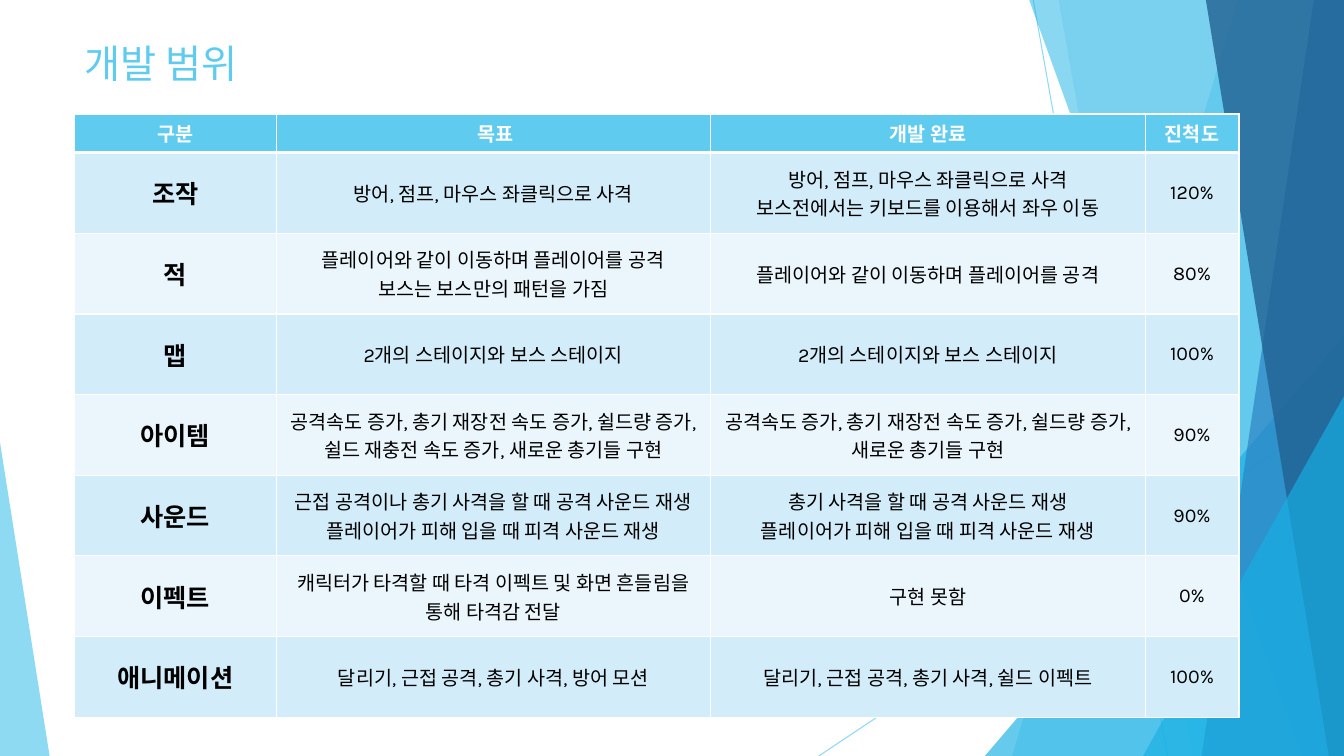
from lxml.etree import SubElement
from pptx import Presentation
from pptx.dml.color import RGBColor
from pptx.enum.shapes import MSO_CONNECTOR, MSO_SHAPE
from pptx.enum.text import MSO_ANCHOR, PP_ALIGN
from pptx.oxml.ns import qn
from pptx.util import Inches, Pt

SLIDE_WIDTH, SLIDE_HEIGHT = Inches(13.33), Inches(7.5)
FONT = "Karla"

SKY = RGBColor(0x5F, 0xCB, 0xEF)
CYAN = RGBColor(0x17, 0xB0, 0xE4)
BLUE = RGBColor(0x2E, 0x83, 0xC3)
NAVY = RGBColor(0x22, 0x62, 0x92)
BAND_DARK = RGBColor(0xD2, 0xEC, 0xF9)
BAND_LIGHT = RGBColor(0xEA, 0xF6, 0xFC)
WHITE = RGBColor(0xFF, 0xFF, 0xFF)
BLACK = RGBColor(0, 0, 0)

LEFT_MARGIN = 5.55
TABLE_TOP = 15.07
COLUMN_WIDTHS = [15, 32.33, 32.33, 6.98]
HEADER_HEIGHT, ROW_HEIGHT = 4.67, 10.67

SCOPE_ROWS = [
    ("구분", " 목표", "개발 완료", "진척도"),
    ("조작", "방어, 점프, 마우스 좌클릭으로 사격",
     "방어, 점프, 마우스 좌클릭으로 사격\n보스전에서는 키보드를 이용해서 좌우 이동", "120%"),
    ("적", "플레이어와 같이 이동하며 플레이어를 공격\n보스는 보스만의 패턴을 가짐",
     "플레이어와 같이 이동하며 플레이어를 공격", "80%"),
    ("맵", "2개의 스테이지와 보스 스테이지", "2개의 스테이지와 보스 스테이지", "100%"),
    ("아이템", "공격속도 증가, 총기 재장전 속도 증가, 쉴드량 증가, "
     "쉴드 재충전 속도 증가, 새로운 총기들 구현",
     "공격속도 증가, 총기 재장전 속도 증가, 쉴드량 증가, 새로운 총기들 구현", "90%"),
    ("사운드", "근접 공격이나 총기 사격을 할 때 공격 사운드 재생\n"
     "플레이어가 피해 입을 때 피격 사운드 재생",
     "총기 사격을 할 때 공격 사운드 재생\n플레이어가 피해 입을 때 피격 사운드 재생", "90%"),
    ("이펙트", "캐릭터가 타격할 때 타격 이펙트 및 화면 흔들림을 통해 타격감 전달",
     "구현 못함", "0%"),
    ("애니메이션", "달리기, 근접 공격, 총기 사격, 방어 모션",
     "달리기, 근접 공격, 총기 사격, 쉴드 이펙트", "100%"),
]


def across(percent):
    return round(SLIDE_WIDTH * percent / 100)


def down(percent):
    return round(SLIDE_HEIGHT * percent / 100)


def write_text(frame, text, size, color, bold=False, align=PP_ALIGN.LEFT):
    frame.text = text
    for paragraph in frame.paragraphs:
        paragraph.alignment = align
        for run in paragraph.runs:
            run.font.name = FONT
            run.font.size = Pt(size)
            run.font.bold = bold
            run.font.color.rgb = color


def set_opacity(color_format_owner, percent):
    """Add an alpha value to the solid colour found below the element."""
    color = next(color_format_owner.iter(qn("a:srgbClr")))
    SubElement(color, qn("a:alpha"), val=str(percent * 1000))


def paint(shape, color, opacity):
    shape.shadow.inherit = False
    shape.line.fill.background()
    shape.fill.solid()
    shape.fill.fore_color.rgb = color
    set_opacity(shape.element.spPr, opacity)


def add_thin_line(slide, start_x, start_y, end_x, end_y):
    line = slide.shapes.add_connector(
        MSO_CONNECTOR.STRAIGHT,
        across(start_x), down(start_y), across(end_x), down(end_y))
    line.line.color.rgb = SKY
    line.line.width = Pt(0.75)
    properties = line.element.spPr
    set_opacity(properties, 70)
    SubElement(properties, qn("a:effectLst"))


def add_facet(slide, top_x, bottom_x, color, opacity):
    """Fill the slide's right side up to a slanted edge."""
    builder = slide.shapes.build_freeform(across(top_x), 0)
    builder.add_line_segments([
        (SLIDE_WIDTH, 0), (SLIDE_WIDTH, SLIDE_HEIGHT),
        (across(bottom_x), SLIDE_HEIGHT)])
    paint(builder.convert_to_shape(), color, opacity)


def add_corner(slide, left, top, width, apex, color, opacity):
    """Add a triangle standing on the slide's bottom edge."""
    triangle = slide.shapes.add_shape(
        MSO_SHAPE.ISOSCELES_TRIANGLE,
        across(left), down(top), across(width), down(100 - top))
    triangle.adjustments[0] = apex
    paint(triangle, color, opacity)


def add_backdrop(slide):
    add_thin_line(slide, 76.88, 0, 86.87, 100)
    add_thin_line(slide, 100, 53.73, 60.92, 100)
    add_facet(slide, 92.1, 75.3, SKY, 36)
    add_facet(slide, 78.76, 88.73, SKY, 20)
    add_corner(slide, 73.28, 44.4, 26.72, 1, CYAN, 66)
    add_facet(slide, 76.58, 96.85, CYAN, 50)
    add_facet(slide, 97.75, 89.4, BLUE, 70)
    add_facet(slide, 89.72, 98.87, NAVY, 80)
    add_corner(slide, 85.05, 52.4, 14.95, 1, CYAN, 66)
    add_corner(slide, 0, 58.53, 3.69, 0, SKY, 70)


def set_title(slide, text):
    title = slide.shapes.title
    title.left, title.top = across(LEFT_MARGIN), down(4.13)
    title.width, title.height = across(70.5), down(8.27)
    title.text_frame.vertical_anchor = MSO_ANCHOR.MIDDLE
    write_text(title.text_frame, text, size=28, color=SKY)
    slide.shapes.element.append(title.element)


def set_borders(cell, top, bottom):
    """Draw white borders; top and bottom are widths in points."""
    properties = cell.fill and cell._tc.get_or_add_tcPr()
    widths = {"a:lnL": 1, "a:lnR": 1, "a:lnT": top, "a:lnB": bottom}
    for position, (side, width) in enumerate(widths.items()):
        border = SubElement(properties, qn(side), w=str(Pt(width)))
        fill = SubElement(border, qn("a:solidFill"))
        SubElement(fill, qn("a:srgbClr"), val=str(WHITE))
        properties.insert(position, border)


def format_cell(cell, text, row, column):
    is_header, is_label = row == 0, column == 0
    cell.vertical_anchor = MSO_ANCHOR.MIDDLE
    cell.fill.solid()
    cell.fill.fore_color.rgb = (
        SKY if is_header else BAND_DARK if row % 2 else BAND_LIGHT)
    write_text(cell.text_frame, text,
               size=18 if is_label and not is_header else 14,
               color=WHITE if is_header else BLACK,
               bold=is_header or is_label, align=PP_ALIGN.CENTER)
    set_borders(cell, top=3 if row == 1 else 1, bottom=3 if is_header else 1)


def add_scope_table(slide):
    heights = [HEADER_HEIGHT] + [ROW_HEIGHT] * (len(SCOPE_ROWS) - 1)
    table = slide.shapes.add_table(
        len(SCOPE_ROWS), len(COLUMN_WIDTHS),
        across(LEFT_MARGIN), down(TABLE_TOP),
        across(sum(COLUMN_WIDTHS)), down(sum(heights))).table
    for column, width in zip(table.columns, COLUMN_WIDTHS):
        column.width = across(width)
    for row, height in zip(table.rows, heights):
        row.height = down(height)
    for row, texts in enumerate(SCOPE_ROWS):
        for column, text in enumerate(texts):
            format_cell(table.cell(row, column), text, row, column)


def main():
    presentation = Presentation()
    presentation.slide_width = SLIDE_WIDTH
    presentation.slide_height = SLIDE_HEIGHT
    slide = presentation.slides.add_slide(presentation.slide_layouts[5])
    add_backdrop(slide)
    set_title(slide, "개발 범위")
    add_scope_table(slide)
    presentation.save("out.pptx")


if __name__ == "__main__":
    main()
